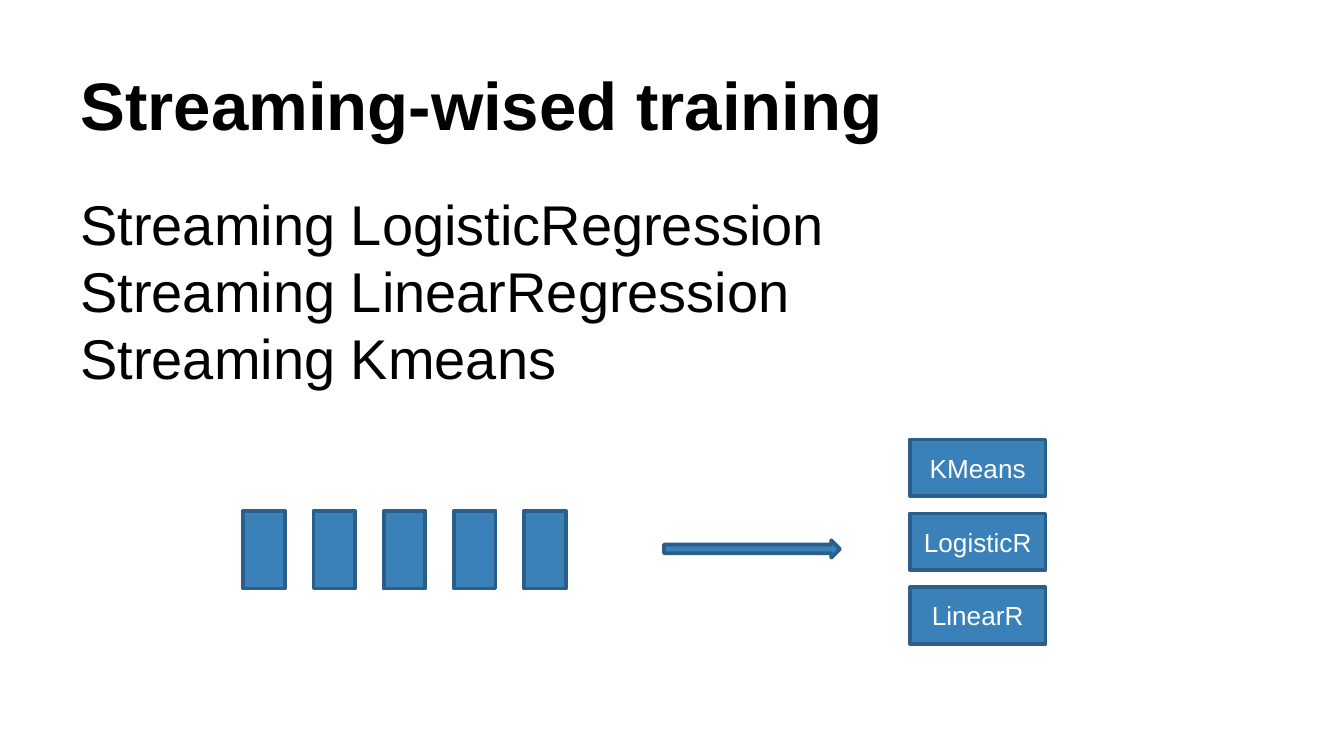
from dataclasses import dataclass

import pptx
import pptx.dml.color
import pptx.enum.shapes
import pptx.enum.text
import pptx.util

Inches = pptx.util.Inches
Pt = pptx.util.Pt
MSO = pptx.enum.shapes.MSO_SHAPE
ANCHOR = pptx.enum.text.MSO_ANCHOR
ALIGN = pptx.enum.text.PP_ALIGN

COLORS = {"text": "000000", "fill": "3A81BA", "line": "2B5F8A", "label": "FFFFFF"}
TITLE = {"name": "Arial", "size": Pt(36), "bold": True}
BODY = {"name": "Arial", "size": Pt(30)}
LABEL = {"name": "Arial", "size": Pt(14)}


@dataclass
class Block:
    left: float
    top: float
    width: float
    height: float
    kind: int = MSO.RECTANGLE
    label: str = ""


def rgb(key: str) -> pptx.dml.color.RGBColor:
    return pptx.dml.color.RGBColor.from_string(COLORS[key])


def write(tf, lines: list[str], font: dict, color: str, align: int, frame: dict) -> None:
    for name, value in frame.items():
        setattr(tf, name, value)
    for i, line in enumerate(lines):
        p = tf.paragraphs[0] if i == 0 else tf.add_paragraph()
        p.alignment = align
        r = p.add_run()
        r.text = line
        for name, value in font.items():
            setattr(r.font, name, value)
        r.font.color.rgb = rgb(color)


def add_text(s, top: float, height: float, lines: list[str], font: dict,
             anchor: int) -> None:
    sp = s.shapes.add_textbox(Inches(0.5), Inches(top), Inches(9), Inches(height))
    frame = {"word_wrap": True, "vertical_anchor": anchor}
    for side in ("left", "top", "right", "bottom"):
        frame["margin_" + side] = Inches(0.1)
    write(sp.text_frame, lines, font, "text", ALIGN.LEFT, frame)


def add_block(s, b: Block) -> None:
    sp = s.shapes.add_shape(b.kind, Inches(b.left), Inches(b.top),
                            Inches(b.width), Inches(b.height))
    sp.shadow.inherit = False
    sp.fill.solid()
    sp.fill.fore_color.rgb = rgb("fill")
    sp.line.color.rgb = rgb("line")
    sp.line.width = Pt(2)
    if b.label:
        write(sp.text_frame, [b.label], LABEL, "label", ALIGN.CENTER,
              {"vertical_anchor": ANCHOR.MIDDLE, "margin_left": 0, "margin_right": 0})


prs = pptx.Presentation()
prs.slide_width = Inches(10)
prs.slide_height = Inches(10 * 9 / 16)
s = prs.slides.add_slide(prs.slide_layouts[6])

# Title and list of methods
add_text(s, 0.23, 0.94, ["Streaming-wised training"], TITLE, ANCHOR.BOTTOM)
methods = ["LogisticRegression", "LinearRegression", "Kmeans"]
add_text(s, 1.31, 4.07, [f"Streaming {m}" for m in methods], BODY, ANCHOR.TOP)

# Stream of batches, arrow, models
batches = [Block(1.81 + 2.09 / 4 * i, 3.8, 0.31, 0.58) for i in range(5)]
arrow = Block(4.94, 4.02, 1.31, 0.13, MSO.RIGHT_ARROW)
models = [Block(6.77, 3.27 + 0.55 * i, 1.01, 0.42, label=name)
          for i, name in enumerate(["KMeans", "LogisticR", "LinearR"])]
for block in [*batches, arrow, *models]:
    add_block(s, block)

prs.save("out.pptx")
